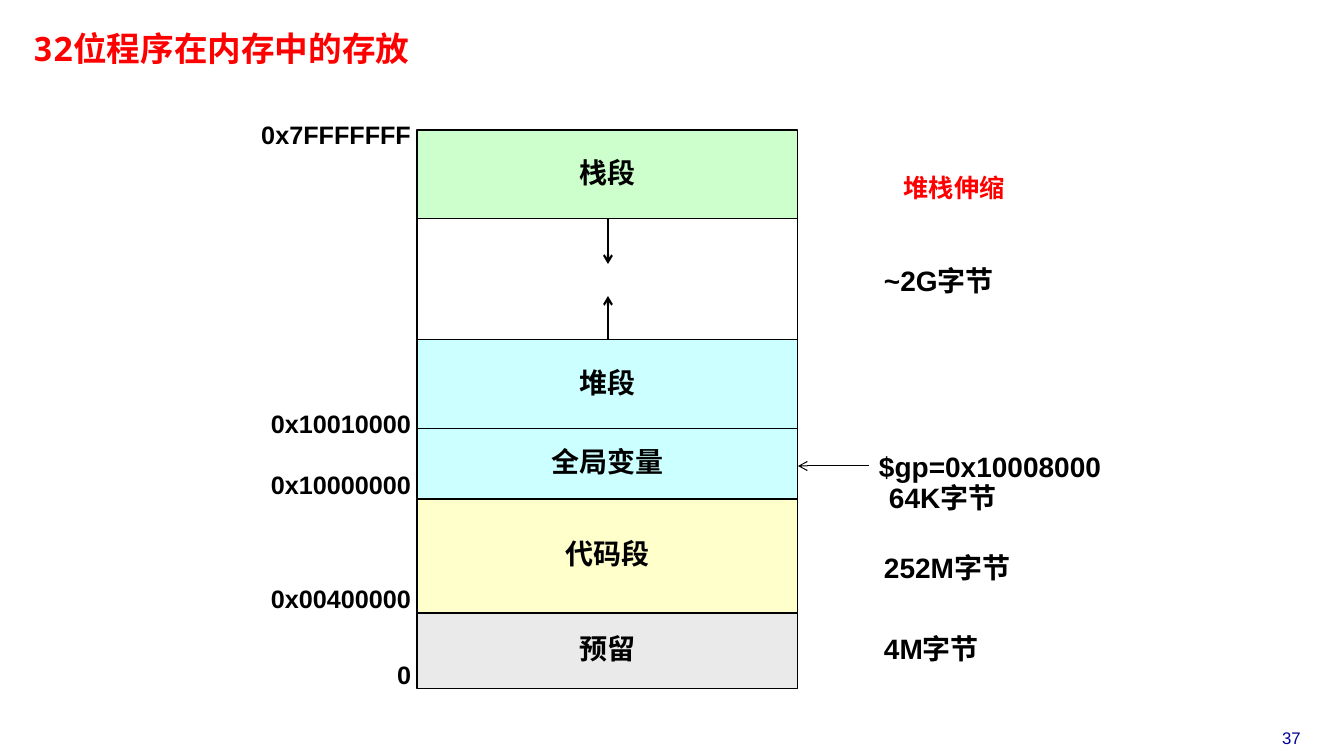
from lxml.etree import SubElement
from pptx import Presentation
from pptx.dml.color import RGBColor
from pptx.enum.shapes import MSO_CONNECTOR as Connector, MSO_SHAPE as Shape
from pptx.enum.text import MSO_ANCHOR as Anchor, PP_ALIGN as Align
from pptx.oxml.ns import qn
from pptx.util import Emu, Pt

PX = 914400 / 100.8

BLACK = RGBColor(0x00, 0x00, 0x00)
RED = RGBColor(0xFF, 0x00, 0x00)
NAVY = RGBColor(0x00, 0x00, 0x99)
GREEN = RGBColor(0xCC, 0xFF, 0xCC)
CYAN = RGBColor(0xCC, 0xFF, 0xFF)
YELLOW = RGBColor(0xFF, 0xFF, 0xCC)
GRAY = RGBColor(0xEA, 0xEA, 0xEA)


def px(*lengths):
    return [Emu(round(length * PX)) for length in lengths]


class MemorySlide:
    font = "Arial"

    def __init__(self, deck):
        self.slide = deck.slides.add_slide(deck.slide_layouts[5])
        self.shapes = self.slide.shapes

    def set_text(self, shape, text, size, color=BLACK, bold=True, align=Align.LEFT,
                 spacing=0.85, anchor=Anchor.TOP, inset=(0, 0), font=None):
        frame = shape.text_frame
        side, edge = px(*inset)
        frame_format = dict(word_wrap=True, vertical_anchor=anchor,
                            margin_left=side, margin_right=side,
                            margin_top=edge, margin_bottom=edge)
        paragraph = frame.paragraphs[0]
        paragraph.text = text
        paragraph_format = dict(alignment=align, line_spacing=spacing)
        font_format = dict(name=font or self.font, size=Pt(size), bold=bold)
        for target, values in ((frame, frame_format),
                               (paragraph, paragraph_format),
                               (paragraph.runs[0].font, font_format)):
            for key, value in values.items():
                setattr(target, key, value)
        paragraph.runs[0].font.color.rgb = color

    def title(self, text, box):
        title = self.shapes.title
        for key, value in zip(("left", "top", "width", "height"), px(*box)):
            setattr(title, key, value)
        self.set_text(title, text, 24, RED, spacing=0.87, inset=(7, 3),
                      font="Noto Sans Mono")

    def label(self, text, box, size, **style):
        self.set_text(self.shapes.add_textbox(*px(*box)), text, size, **style)

    def segment(self, text, box, color):
        segment = self.shapes.add_shape(Shape.RECTANGLE, *px(*box))
        segment.shadow.inherit = False
        segment.line.color.rgb = BLACK
        segment.line.width = Pt(0.75)
        if color is None:
            segment.fill.background()
            return
        segment.fill.solid()
        segment.fill.fore_color.rgb = color
        self.set_text(segment, text, 20, align=Align.CENTER, anchor=Anchor.MIDDLE)

    def arrow(self, start, end, width):
        arrow = self.shapes.add_connector(Connector.STRAIGHT, *px(*start, *end))
        arrow.line.color.rgb = BLACK
        arrow.line.width = Pt(width)
        properties = arrow._element.spPr
        SubElement(properties.find(qn("a:ln")), qn("a:tailEnd"), type="arrow")
        SubElement(properties, qn("a:effectLst"))


def main():
    deck = Presentation()
    deck.slide_width, deck.slide_height = px(1344, 756)
    memory = MemorySlide(deck)

    memory.title("32位程序在内存中的存放", (26, 30, 773, 41))

    # Memory segments, stacked from the highest address down
    left, width, top = 417, 381, 130
    segments = [("栈段", 89, GREEN), ("", 121, None), ("堆段", 89, CYAN),
                ("全局变量", 70, CYAN), ("代码段", 114, YELLOW), ("预留", 76, GRAY)]
    for name, height, color in segments:
        memory.segment(name, (left, top, width, height), color)
        top += height

    # Boundary addresses
    addresses = [("0x7FFFFFFF", 124), ("0x10010000", 413), ("0x10000000", 474),
                 ("0x00400000", 588), ("0", 664)]
    for address, y in addresses:
        memory.label(address, (240, y, 171, 31), 18, align=Align.RIGHT)

    # Stack and heap growth, global pointer
    center = 608
    memory.arrow((center, 340), (center, 296), 1.5)
    memory.arrow((center, 219), (center, 264), 1.5)
    memory.arrow((869, 466), (left + width, 466), 0.75)

    # Remarks and segment sizes
    memory.label("堆栈伸缩", (862, 137, 184, 95), 18, color=RED,
                 align=Align.CENTER, spacing=1.2, anchor=Anchor.MIDDLE)
    remarks = [("~2G字节", 874, 264, 142), ("$gp=0x10008000", 869, 450, 258),
               ("64K字节", 879, 481, 142), ("252M字节", 874, 551, 172),
               ("4M字节", 874, 632, 142)]
    for remark, x, y, remark_width in remarks:
        memory.label(remark, (x, y, remark_width, 39), 20, inset=(10, 5))

    # Page number
    memory.label("37", (1244, 723, 95, 30), 12, color=NAVY, bold=False,
                 align=Align.CENTER, spacing=1.0, inset=(10, 5))

    deck.save("out.pptx")


if __name__ == "__main__":
    main()
